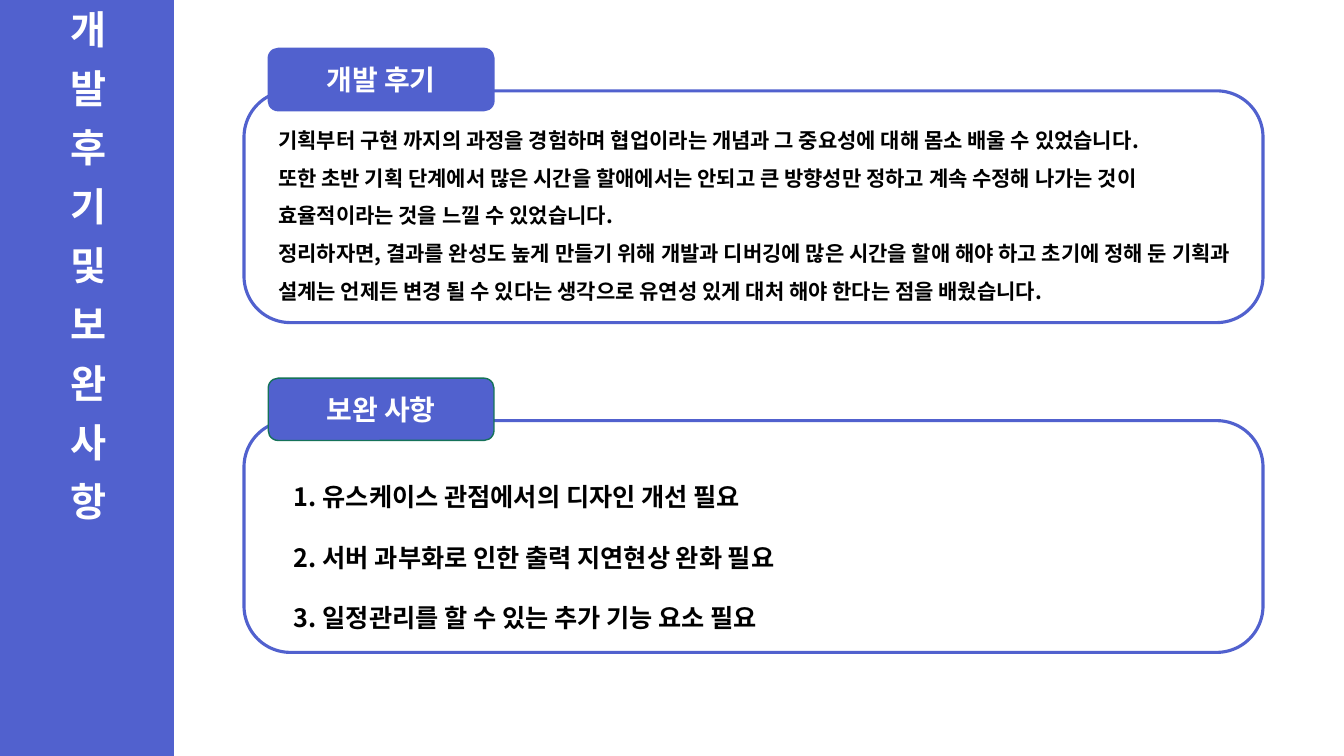
from pptx import Presentation
from pptx.dml.color import RGBColor
from pptx.enum.shapes import MSO_SHAPE
from pptx.enum.text import MSO_ANCHOR, PP_ALIGN
from pptx.oxml.ns import qn
from pptx.util import Cm, Pt
from lxml.etree import SubElement

# Content
SIDE_TITLE = "개 발 후 기 및 보 완 사 항"
BLUE = RGBColor(0x51, 0x61, 0xCE)
GREEN = RGBColor(0x15, 0x72, 0x59)
WHITE = RGBColor(0xFF, 0xFF, 0xFF)
BLACK = RGBColor(0, 0, 0)
KOREAN_FONT = "Noto Sans CJK KR"
SECTIONS = [
    {"heading": "개발 후기", "outline": BLUE, "size": 15, "spacing": 1.5,
     "left": 6.76, "drop": 0.48, "height": 4.95,
     "body": [
         "기획부터 구현 까지의 과정을 경험하며 협업이라는 개념과 그 중요성에 대해 몸소 배울 수 있었습니다.",
         "또한 초반 기획 단계에서 많은 시간을 할애에서는 안되고 큰 방향성만 정하고 계속 수정해 나가는 것이 "
         "효율적이라는 것을 느낄 수 있었습니다.",
         "정리하자면, 결과를 완성도 높게 만들기 위해 개발과 디버깅에 많은 시간을 할애 해야 하고 초기에 정해 둔 "
         "기획과 설계는 언제든 변경 될 수 있다는 생각으로 유연성 있게 대처 해야 한다는 점을 배웠습니다."]},
    {"heading": "보완 사항", "outline": GREEN, "size": 18, "spacing": 2,
     "left": 7.16, "drop": 0.65, "height": 4.62,
     "body": [
         "1. 유스케이스 관점에서의 디자인 개선 필요",
         "2. 서버 과부화로 인한 출력 지연현상 완화 필요",
         "3. 일정관리를 할 수 있는 추가 기능 요소 필요"]},
]

# Layout in centimetres
SLIDE_W, SLIDE_H = 33.87, 19.05
SIDEBAR_W = 4.37
PANEL_LEFT, PANEL_TOP, PANEL_W, PANEL_H = 6.15, 2.29, 25.68, 5.84
PANEL_PITCH = 8.31
TAB_LEFT, TAB_RISE, TAB_W, TAB_H = 6.76, 1.07, 5.69, 1.57


def write(frame, lines, size, color, font=KOREAN_FONT, align=PP_ALIGN.LEFT,
          anchor=MSO_ANCHOR.TOP, spacing=None, tracking=None):
    frame.word_wrap = True
    frame.vertical_anchor = anchor
    for index, line in enumerate(lines):
        paragraph = frame.paragraphs[0] if index == 0 else frame.add_paragraph()
        paragraph.alignment = align
        paragraph.line_spacing = spacing
        run = paragraph.add_run()
        run.text = line
        run.font.name = font
        run.font.size = Pt(size)
        run.font.bold = True
        run.font.color.rgb = color
        properties = run.font._element
        SubElement(properties, qn("a:ea")).set("typeface", KOREAN_FONT)
        if tracking:
            properties.set("spc", str(round(tracking * 100)))


def add_block(kind, left, top, width, height, outline, weight, fill=None, corner=None):
    block = slide.shapes.add_shape(kind, Cm(left), Cm(top), Cm(width), Cm(height))
    block.shadow.inherit = False
    if corner is not None:
        block.adjustments[0] = corner
    if fill is None:
        block.fill.background()
    else:
        block.fill.solid()
        block.fill.fore_color.rgb = fill
    block.line.color.rgb = outline
    block.line.width = Pt(weight)
    return block


presentation = Presentation()
presentation.slide_width, presentation.slide_height = Cm(SLIDE_W), Cm(SLIDE_H)
slide = presentation.slides.add_slide(presentation.slide_layouts[6])

# Sidebar with the vertical title
sidebar = add_block(MSO_SHAPE.RECTANGLE, 0, 0, SIDEBAR_W, SLIDE_H, BLUE, 1, fill=BLUE)
write(sidebar.text_frame, [SIDE_TITLE], size=28, color=WHITE,
      align=PP_ALIGN.CENTER, anchor=MSO_ANCHOR.MIDDLE, tracking=3.9)
sidebar.text_frame._txBody.bodyPr.set("vert", "eaVert")

# Panels, each with a heading tab and body text
for row, section in enumerate(SECTIONS):
    top = PANEL_TOP + row * PANEL_PITCH
    add_block(MSO_SHAPE.ROUNDED_RECTANGLE, PANEL_LEFT, top, PANEL_W, PANEL_H,
              BLUE, 2.25, corner=0.2)
    tab = add_block(MSO_SHAPE.ROUNDED_RECTANGLE, TAB_LEFT, top - TAB_RISE, TAB_W, TAB_H,
                    section["outline"], 1, fill=BLUE, corner=0.16)
    write(tab.text_frame, [section["heading"]], size=20, color=WHITE, font="Calibri",
          align=PP_ALIGN.CENTER, anchor=MSO_ANCHOR.MIDDLE)
    body_width = PANEL_LEFT + PANEL_W - section["left"]
    body = slide.shapes.add_textbox(Cm(section["left"]), Cm(top + section["drop"]),
                                    Cm(body_width), Cm(section["height"]))
    write(body.text_frame, section["body"], size=section["size"], color=BLACK,
          spacing=section["spacing"])

presentation.save("out.pptx")
